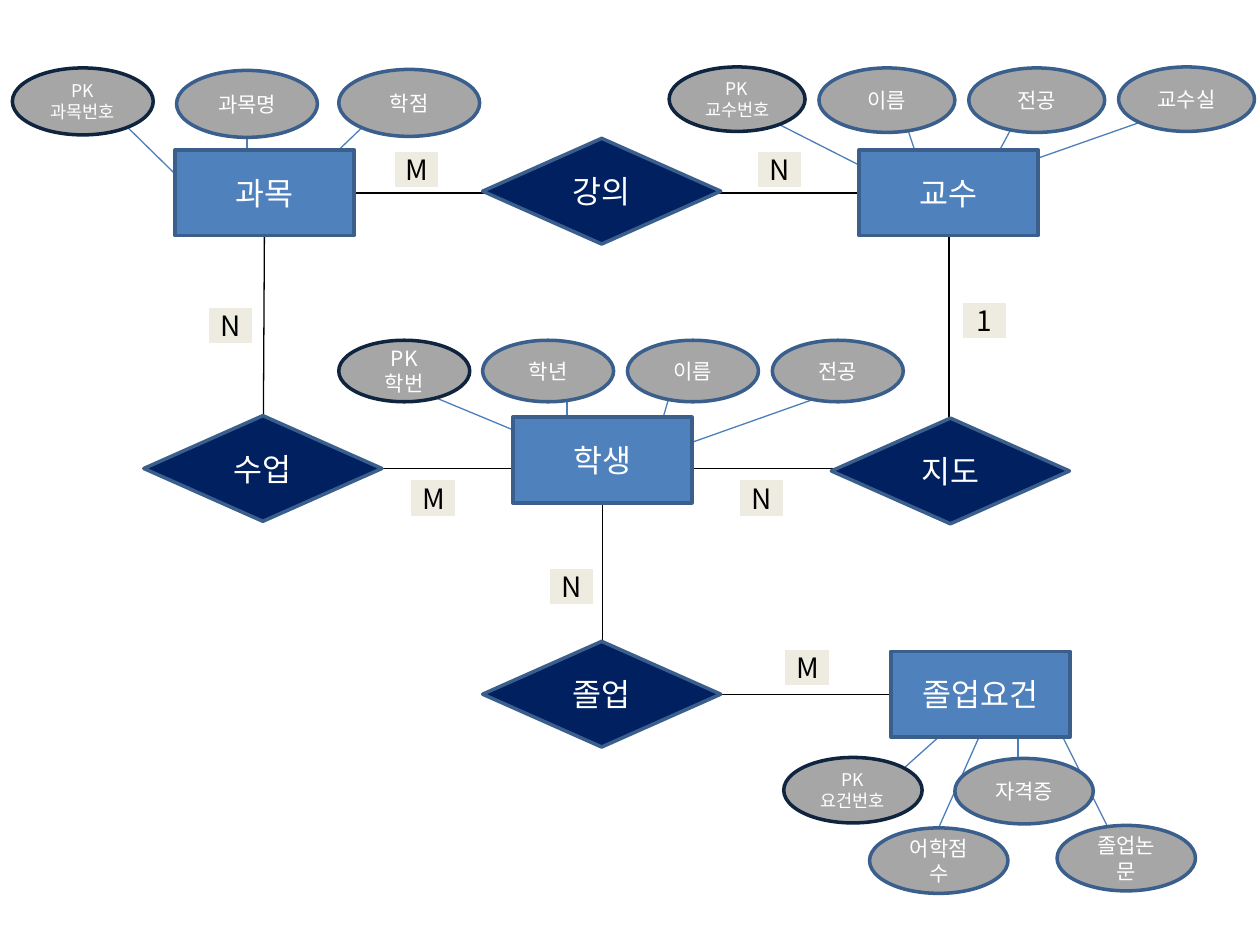
from lxml.etree import SubElement
from pptx import Presentation
from pptx.dml.color import RGBColor
from pptx.enum.shapes import MSO_CONNECTOR, MSO_SHAPE
from pptx.enum.text import MSO_ANCHOR, PP_ALIGN
from pptx.oxml.ns import qn
from pptx.util import Cm, Pt

FONT = "Noto Sans CJK KR"
OUTLINE = "3A5F8C"
ENTITY_SIZE = (3.61, 1.73)
RELATIONSHIP_SIZE = (4.8, 2.13)
CARDINALITY_SIZE = (0.94, 0.79)

RELATIONSHIPS = [
    ("강의", (9.73, 2.79),
     [((-3.53, 1.1), (8.23, 1.1))],
     [("M", (-1.81, 0.23)), ("N", (5.51, 0.23))]),
    ("수업", (2.9, 8.38),
     [((2.43, -3.63), (2.41, 0)), ((2.84, 1.07), (9.24, 1.07))],
     [("N", (1.27, -2.21)), ("M", (5.36, 1.27))]),
    ("지도", (16.76, 8.43),
     [((2.37, -4.32), (2.37, 0.49)), ((-4.62, 1.02), (0.39, 1.02))],
     [("1", (2.62, -2.36)), ("N", (-1.88, 1.22))]),
    ("졸업", (9.73, 12.93),
     [((2.41, -3.48), (2.41, 0.58)), ((3.61, 1.07), (9.19, 1.07))],
     [("N", (1.32, -1.5)), ("M", (6.07, 0.13))]),
]

ENTITIES = [
    ("과목", (3.53, 3.02), (2.84, 1.35), [
        ("PK\n과목번호", (-3.28, -1.65), (-1.19, -0.68), (0.28, 0.76)),
        ("과목명", (0.03, -1.6), (1.45, -0.28), (1.45, 0.31)),
        ("학점", (3.3, -1.62), (4.01, -0.68), (3.3, 0)),
    ]),
    ("교수", (17.32, 3.02), (2.74, 1.3), [
        ("PK\n교수번호", (-3.83, -1.67), (-2.46, -0.94), (0.89, 0.76)),
        ("이름", (-0.81, -1.65), (0.89, -0.68), (1.22, 0.31)),
        ("전공", (2.21, -1.65), (3.2, -0.68), (2.82, 0.03)),
        ("교수실", (5.23, -1.67), (6.02, -0.68), (3.2, 0.31)),
    ]),
    ("학생", (10.34, 8.41), (2.64, 1.24), [
        ("PK\n학번", (-3.51, -1.55), (-1.65, -0.43), (0.35, 0.4)),
        ("학년", (-0.61, -1.55), (1.09, -0.92), (1.09, 0.1)),
        ("이름", (2.31, -1.55), (3.15, -0.41), (3, 0.1)),
        ("전공", (5.23, -1.55), (6.2, -0.41), (3.6, 0.51)),
    ]),
    ("졸업요건", (17.96, 13.13), (2.79, 1.32), [
        ("PK\n요건번호", (-2.16, 2.14), (0, 2.59), (0.96, 1.73)),
        ("자격증", (1.29, 2.16), (2.56, 2.59), (2.56, 1.2)),
        ("어학점수", (-0.43, 3.56), (0.96, 3.56), (1.98, 1.27)),
        ("졸업논문", (3.35, 3.51), (4.8, 4.4), (3.2, 1.2)),
    ]),
]


def color(value):
    """Turn a hex string into a colour."""
    return RGBColor.from_string(value)


def offset(origin, point):
    """Move a point that is relative to the origin onto the slide."""
    return origin[0] + point[0], origin[1] + point[1]


def add_line(slide, start, end, line_color):
    """Draw a thin straight line between two points."""
    connector = slide.shapes.add_connector(
        MSO_CONNECTOR.STRAIGHT, *(Cm(value) for value in (*start, *end)))
    connector.line.color.rgb = color(line_color)
    connector.line.width = Pt(0.75)
    SubElement(connector._element.spPr, qn("a:effectLst"))


def add_node(slide, kind, position, size, text, font_size, fill,
             outline=OUTLINE, text_color="FFFFFF"):
    """Draw a filled shape with centred text."""
    shape = slide.shapes.add_shape(kind, *(Cm(value) for value in (*position, *size)))
    shape.shadow.inherit = False
    shape.fill.solid()
    shape.fill.fore_color.rgb = color(fill)
    shape.line.color.rgb = color(outline)
    shape.line.width = Pt(2)
    text_frame = shape.text_frame
    text_frame.vertical_anchor = MSO_ANCHOR.MIDDLE
    text_frame.text = text
    for paragraph in text_frame.paragraphs:
        paragraph.alignment = PP_ALIGN.CENTER
        for run in paragraph.runs:
            run.font.size = Pt(font_size)
            run.font.color.rgb = color(text_color)
            run.font.name = FONT
            SubElement(run._r.get_or_add_rPr(), qn("a:ea"), typeface=FONT)


def add_relationship(slide, origin, name, lines, cardinalities):
    """Draw a relationship diamond with its lines and cardinalities."""
    for start, end in lines:
        add_line(slide, offset(origin, start), offset(origin, end), "000000")
    add_node(slide, MSO_SHAPE.DIAMOND, origin, RELATIONSHIP_SIZE, name, 18, "002060")
    for text, position in cardinalities:
        add_node(slide, MSO_SHAPE.RECTANGLE, offset(origin, position),
                 CARDINALITY_SIZE, text, 16, "EEECE1", "FFFFFF", "000000")


def add_entity(slide, origin, name, attribute_size, attributes):
    """Draw an entity rectangle with its attribute ellipses and links."""
    for _, _, start, end in attributes:
        add_line(slide, offset(origin, start), offset(origin, end), "4B7EBC")
    add_node(slide, MSO_SHAPE.RECTANGLE, origin, ENTITY_SIZE, name, 18, "4F81BD")
    for text, position, _, _ in attributes:
        add_node(slide, MSO_SHAPE.OVAL, offset(origin, position), attribute_size,
                 text, 10 if len(text) > 5 else 12, "A6A6A6",
                 "0F243E" if text.startswith("PK") else OUTLINE)


def main():
    """Build the entity relationship diagram."""
    presentation = Presentation()
    presentation.slide_width = Cm(25.4)
    presentation.slide_height = Cm(19.05)
    slide = presentation.slides.add_slide(presentation.slide_layouts[6])
    for name, origin, lines, cardinalities in RELATIONSHIPS:
        add_relationship(slide, origin, name, lines, cardinalities)
    for name, origin, attribute_size, attributes in ENTITIES:
        add_entity(slide, origin, name, attribute_size, attributes)
    presentation.save("out.pptx")


if __name__ == "__main__":
    main()
